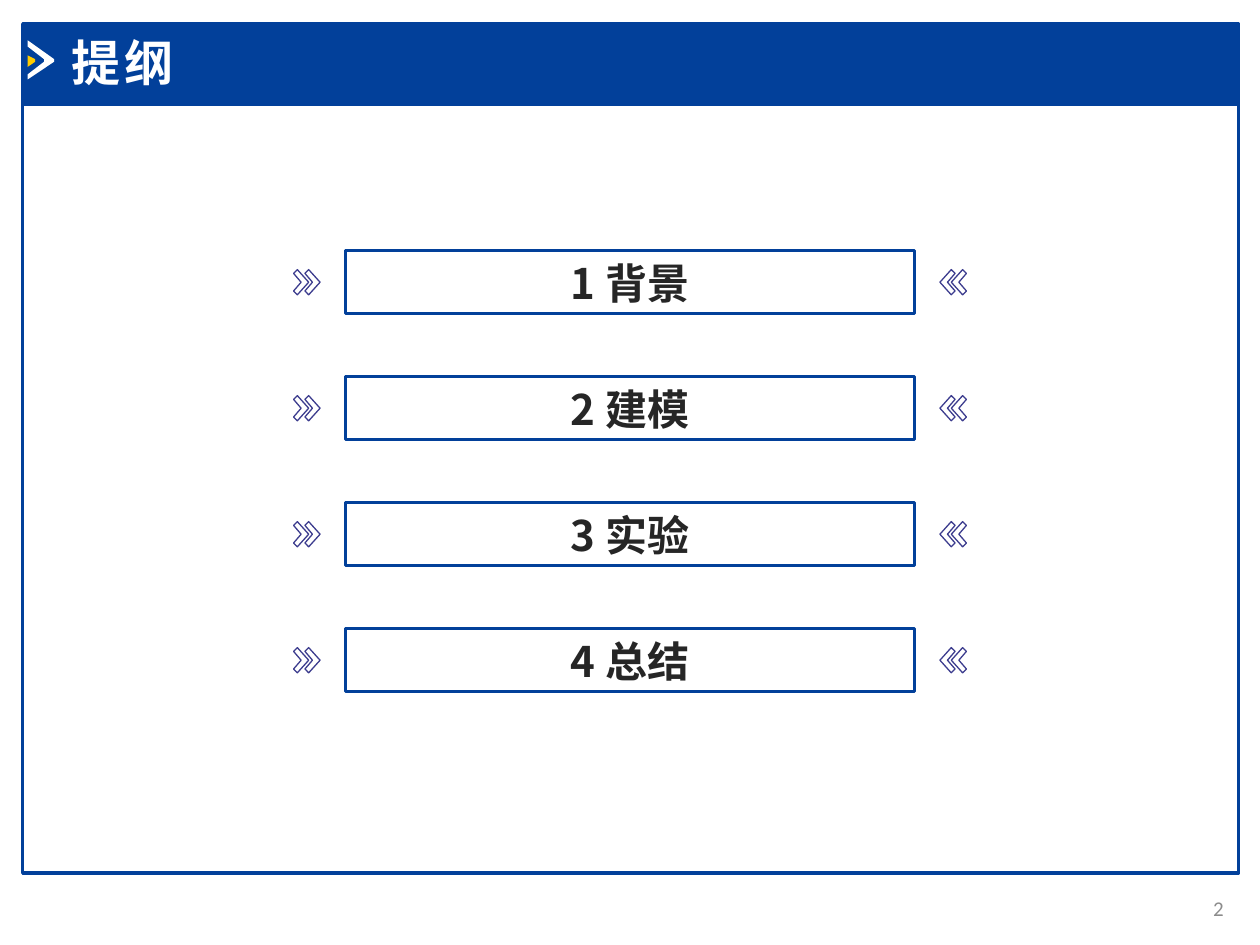
"""Build the outline slide: a title banner and four framed agenda entries."""
import pptx
import pptx.dml.color
import pptx.enum.shapes
import pptx.enum.text
import pptx.oxml.ns
import pptx.util
from lxml import etree
from pptx.util import Inches

BLUE = pptx.dml.color.RGBColor(0x02, 0x40, 0x9A)
INDIGO = pptx.dml.color.RGBColor(0x3C, 0x3C, 0x8E)
YELLOW = pptx.dml.color.RGBColor(0xFF, 0xCC, 0x00)
WHITE = pptx.dml.color.RGBColor(0xFF, 0xFF, 0xFF)
DARK = pptx.dml.color.RGBColor(0x26, 0x26, 0x26)
GRAY = pptx.dml.color.RGBColor(0x8C, 0x8C, 0x8C)
CJK_FONT = "Noto Sans CJK SC"
RECTANGLE = pptx.enum.shapes.MSO_SHAPE.RECTANGLE
ALIGN = pptx.enum.text.PP_ALIGN
SLIDE_WIDTH = 10


def paint(shape, fill=None, line=None, width=0.75):
    shape.shadow.inherit = False
    if fill is None:
        shape.fill.background()
    else:
        shape.fill.solid()
        shape.fill.fore_color.rgb = fill
    if line is None:
        shape.line.fill.background()
    else:
        shape.line.color.rgb = line
        shape.line.width = pptx.util.Pt(width)


def write(shape, text, size, color, align, font_name, bold=False):
    frame = shape.text_frame
    frame.text = text
    frame.word_wrap = True
    frame.auto_size = pptx.enum.text.MSO_AUTO_SIZE.NONE
    frame.vertical_anchor = pptx.enum.text.MSO_ANCHOR.MIDDLE
    para = frame.paragraphs[0]
    para.alignment = align
    span = para.runs[0]
    span.font.size = pptx.util.Pt(size)
    span.font.bold = bold
    span.font.color.rgb = color
    span.font.name = font_name
    properties = span.font._element
    east_asian = etree.SubElement(properties, pptx.oxml.ns.qn("a:ea"))
    east_asian.set("typeface", CJK_FONT)
    return properties


deck = pptx.Presentation()
deck.slide_width = Inches(SLIDE_WIDTH)
deck.slide_height = Inches(7.5)
page = deck.slides.add_slide(deck.slide_layouts[5])
shapes = page.shapes

for top, height, fill in [(0.83, 6.1, None), (0.19, 0.64, BLUE)]:
    panel = shapes.add_shape(
        RECTANGLE, Inches(0.18), Inches(top), Inches(9.65), Inches(height))
    paint(panel, fill, BLUE, 2)

title = shapes.title
title.left, title.top = Inches(0.47), Inches(0.21)
title.width, title.height = Inches(3.56), Inches(0.57)
write(title, "提纲", 28, WHITE, ALIGN.LEFT, "Calibri", True).set("spc", "200")
shapes._spTree.append(title._element)

number = shapes.add_textbox(Inches(9.22), Inches(7.01), Inches(0.59), Inches(0.4))
write(number, "2", 12, GRAY, ALIGN.RIGHT, "Calibri")

outlines = [
    ([(0.22, 0.32), (0.43, 0.47), (0.43, 0.49), (0.22, 0.63),
      (0.22, 0.59), (0.35, 0.49), (0.35, 0.47), (0.22, 0.37)], WHITE, None),
    ([(0.22, 0.44), (0.28, 0.47), (0.28, 0.49), (0.22, 0.53)], YELLOW, None),
]
chevron = [(0.03, 0), (0, 0.03), (0.06, 0.1), (0, 0.17), (0.03, 0.2), (0.12, 0.1)]
for row, topic in enumerate(["背景", "建模", "实验", "总结"]):
    top = 1.99 + row
    box = shapes.add_shape(
        RECTANGLE, Inches(2.74), Inches(top), Inches(4.52), Inches(0.5))
    paint(box, None, BLUE, 1.5)
    write(box, f"{row + 1} {topic}", 24, DARK, ALIGN.CENTER, CJK_FONT, True)
    for left in (2.33, 2.42):
        points = [(left + x, top + 0.15 + y) for x, y in chevron]
        mirrored = [(SLIDE_WIDTH - x, y) for x, y in points]
        outlines += [(points, None, INDIGO), (mirrored, None, INDIGO)]

for points, fill, line in outlines:
    corners = [(Inches(x), Inches(y)) for x, y in points]
    builder = shapes.build_freeform(*corners[0])
    builder.add_line_segments(corners[1:])
    paint(builder.convert_to_shape(), fill, line)

deck.save("out.pptx")
